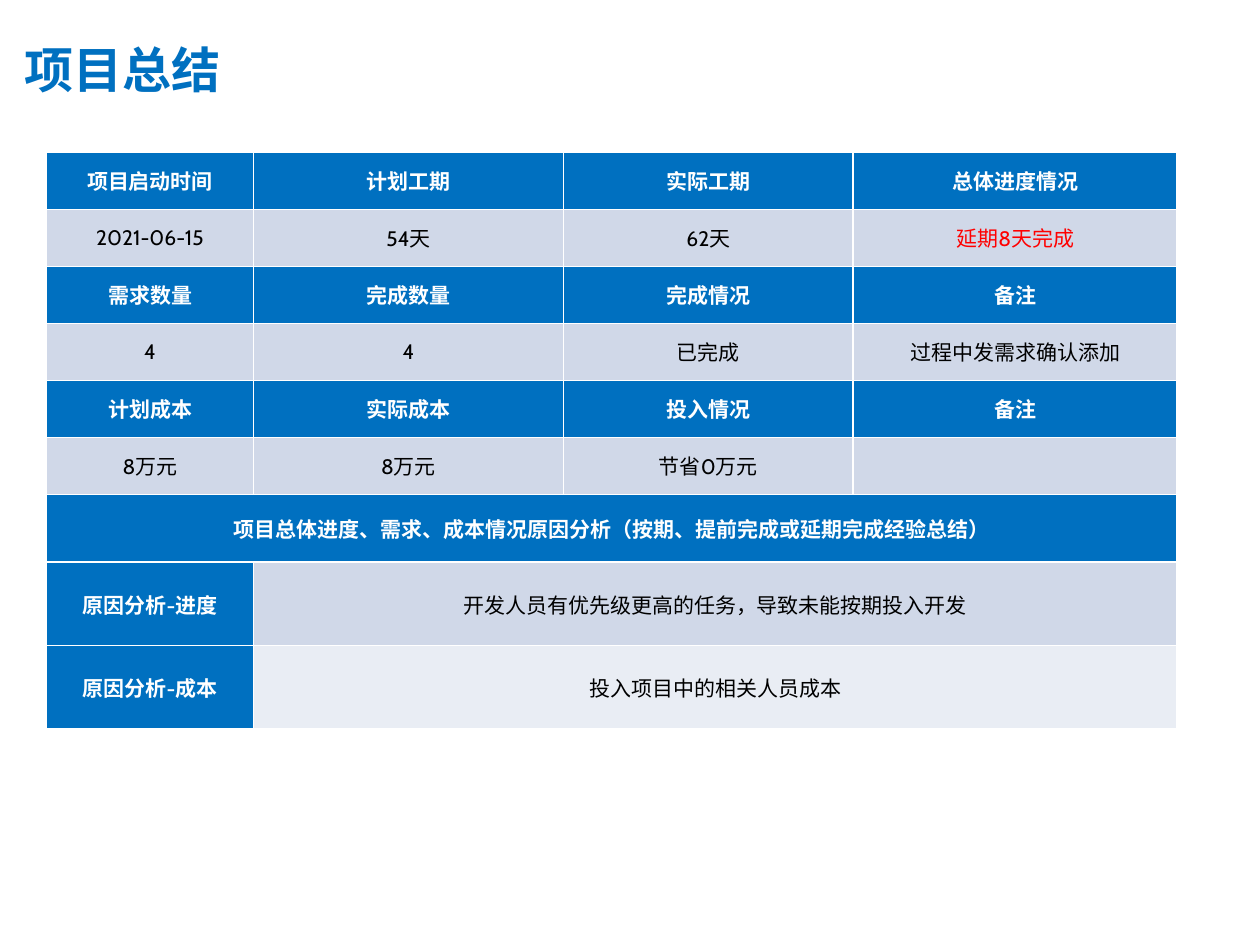
from lxml.etree import SubElement
from pptx import Presentation
from pptx.dml.color import RGBColor
from pptx.enum.text import MSO_ANCHOR as Anchor, PP_ALIGN as Align
from pptx.oxml.ns import qn
from pptx.util import Cm, Pt

COLORS = {
    "blue": "0070C0",
    "white": "FFFFFF",
    "black": "000000",
    "red": "FF0000",
    "value": "D0D8E8",
    "pale": "E9EDF4",
}
CJK_FONT = "Noto Sans CJK SC"
TABLE_FONT = "Cabin"
ALT_FONT = "Arial"

COLUMN_WIDTHS = [4.17, 6.25, 5.84, 6.53]
ROW_HEIGHTS = [1.15] * 6 + [1.37] + [1.68] * 2

# Label rows and value rows alternate
SUMMARY_ROWS = [
    ["项目启动时间", "计划工期", "实际工期", "总体进度情况"],
    ["2021-06-15", "54天", "62天", "延期8天完成"],
    ["需求数量", "完成数量", "完成情况", "备注"],
    ["4", "4", "已完成", "过程中发需求确认添加"],
    ["计划成本", "实际成本", "投入情况", "备注"],
    ["8万元", "8万元", "节省0万元", ""],
]
ANALYSIS_TITLE = "项目总体进度、需求、成本情况原因分析（按期、提前完成或延期完成经验总结）"
# Label, explanation, fill and font of the explanation
ANALYSIS_ROWS = [
    ("原因分析-进度", "开发人员有优先级更高的任务，导致未能按期投入开发", "value", TABLE_FONT),
    ("原因分析-成本", "投入项目中的相关人员成本", "pale", ALT_FONT),
]


def rgb(name):
    return RGBColor.from_string(COLORS[name])


def format_span(span, size, color, bold, font):
    span.font.size = Pt(size)
    span.font.bold = bold
    span.font.name = font
    span.font.color.rgb = rgb(color)
    east_asian = SubElement(span.font._element, qn("a:ea"))
    east_asian.set("typeface", CJK_FONT)


def add_title(page, text):
    box = page.shapes.add_textbox(Cm(0), Cm(0.5), Cm(19.56), Cm(1.8))
    frame = box.text_frame
    frame.word_wrap = True
    frame.vertical_anchor = Anchor.MIDDLE
    frame.margin_left = Cm(0.5)
    frame.text = text
    format_span(frame.paragraphs[0].runs[0], 28, "blue", True, CJK_FONT)


def fill_cell(cell, text, fill, color="black", bold=False, font=TABLE_FONT):
    cell.fill.solid()
    cell.fill.fore_color.rgb = rgb(fill)
    cell.vertical_anchor = Anchor.MIDDLE
    cell.text_frame.text = text
    para = cell.text_frame.paragraphs[0]
    para.alignment = Align.CENTER
    for span in para.runs:
        format_span(span, 12, color, bold, font)


def fill_label(cell, text):
    fill_cell(cell, text, "blue", "white", True)


def add_summary_table(page):
    frame = page.shapes.add_table(
        len(ROW_HEIGHTS), len(COLUMN_WIDTHS), Cm(0.94), Cm(3.07),
        Cm(sum(COLUMN_WIDTHS)), Cm(sum(ROW_HEIGHTS)))
    table = frame.table
    for column, width in zip(table.columns, COLUMN_WIDTHS):
        column.width = Cm(width)
    for row, height in zip(table.rows, ROW_HEIGHTS):
        row.height = Cm(height)
    last = len(COLUMN_WIDTHS) - 1

    # Schedule, requirements and cost
    for r, texts in enumerate(SUMMARY_ROWS):
        for c, text in enumerate(texts):
            if r % 2 == 0:
                fill_label(table.cell(r, c), text)
            else:
                color = "red" if text.startswith("延期") else "black"
                fill_cell(table.cell(r, c), text, "value", color)

    # Analysis heading across the full width
    heading_row = len(SUMMARY_ROWS)
    heading = table.cell(heading_row, 0)
    heading.merge(table.cell(heading_row, last))
    fill_label(heading, ANALYSIS_TITLE)

    # Causes, each with a merged explanation
    for r, (label, text, fill, font) in enumerate(ANALYSIS_ROWS, heading_row + 1):
        fill_label(table.cell(r, 0), label)
        explanation = table.cell(r, 1)
        explanation.merge(table.cell(r, last))
        fill_cell(explanation, text, fill, font=font)


def main():
    deck = Presentation()
    deck.slide_width, deck.slide_height = Cm(25.4), Cm(19.05)
    page = deck.slides.add_slide(deck.slide_layouts[6])
    add_title(page, "项目总结")
    add_summary_table(page)
    deck.save("out.pptx")


if __name__ == "__main__":
    main()
